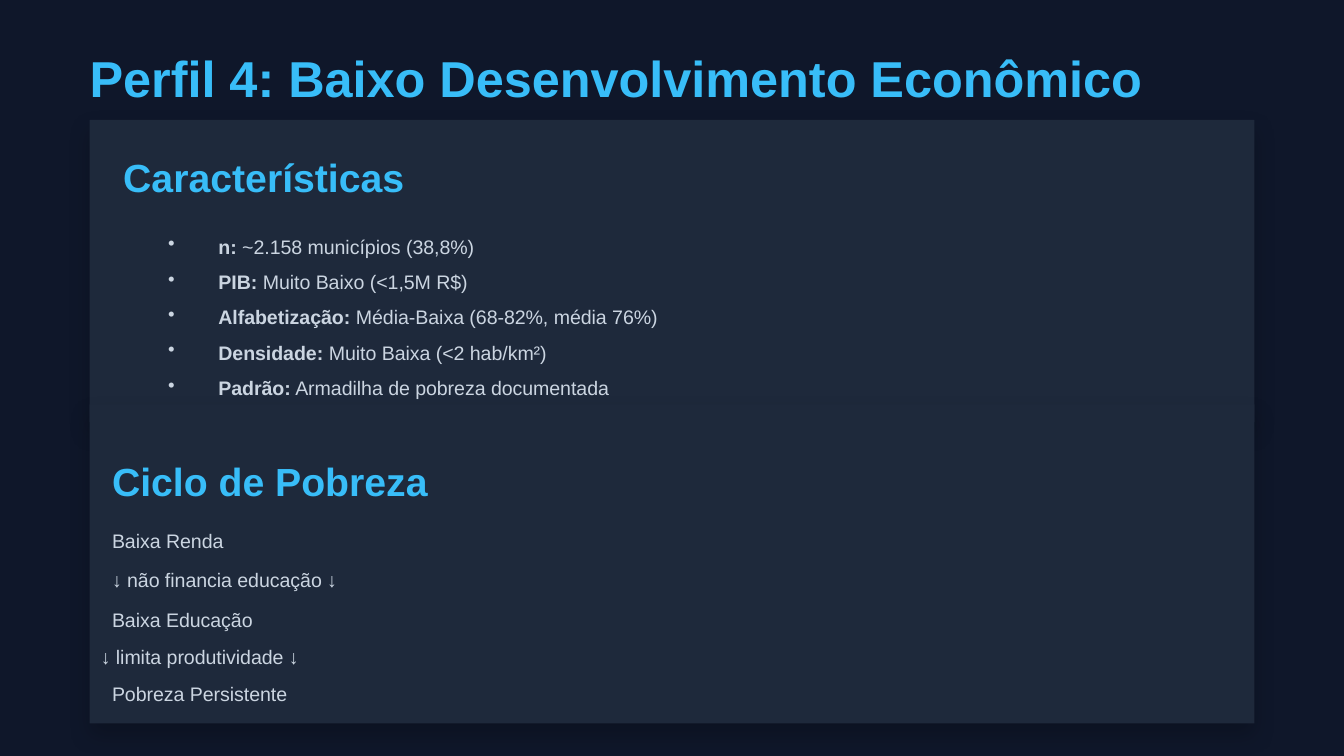
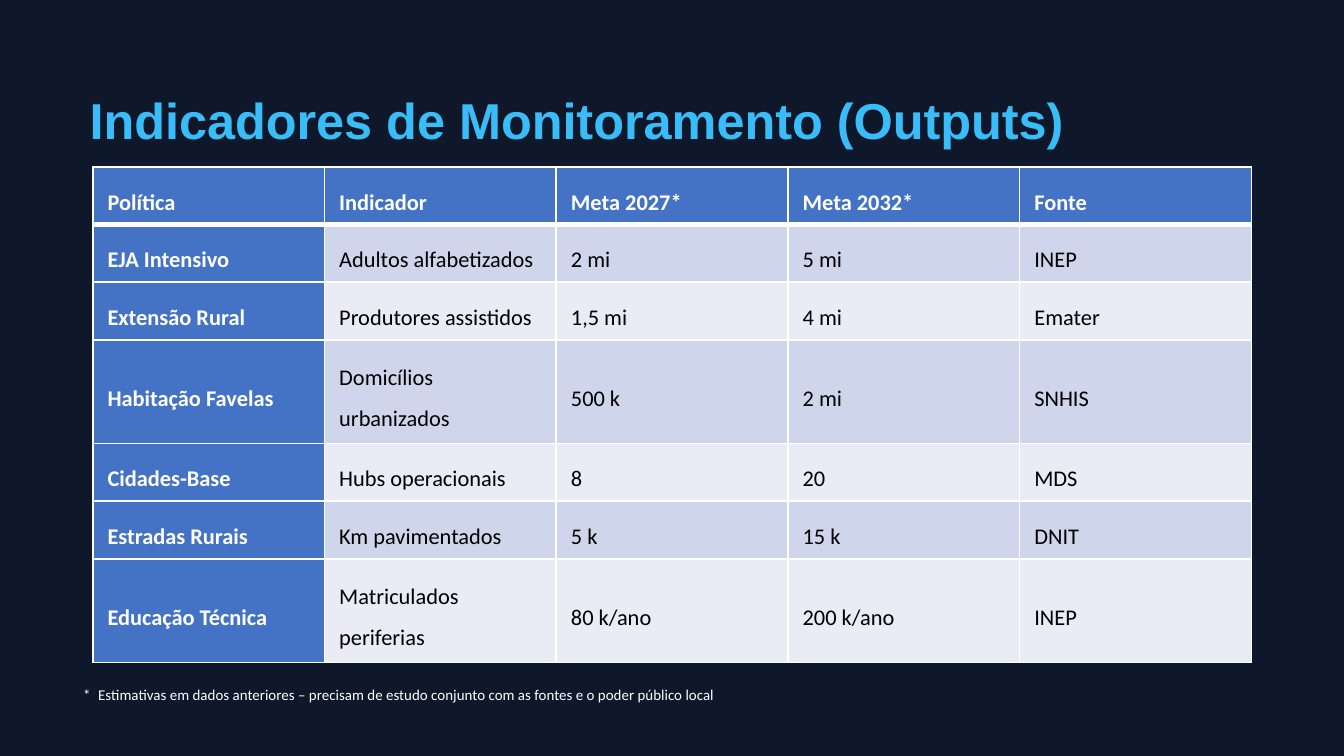
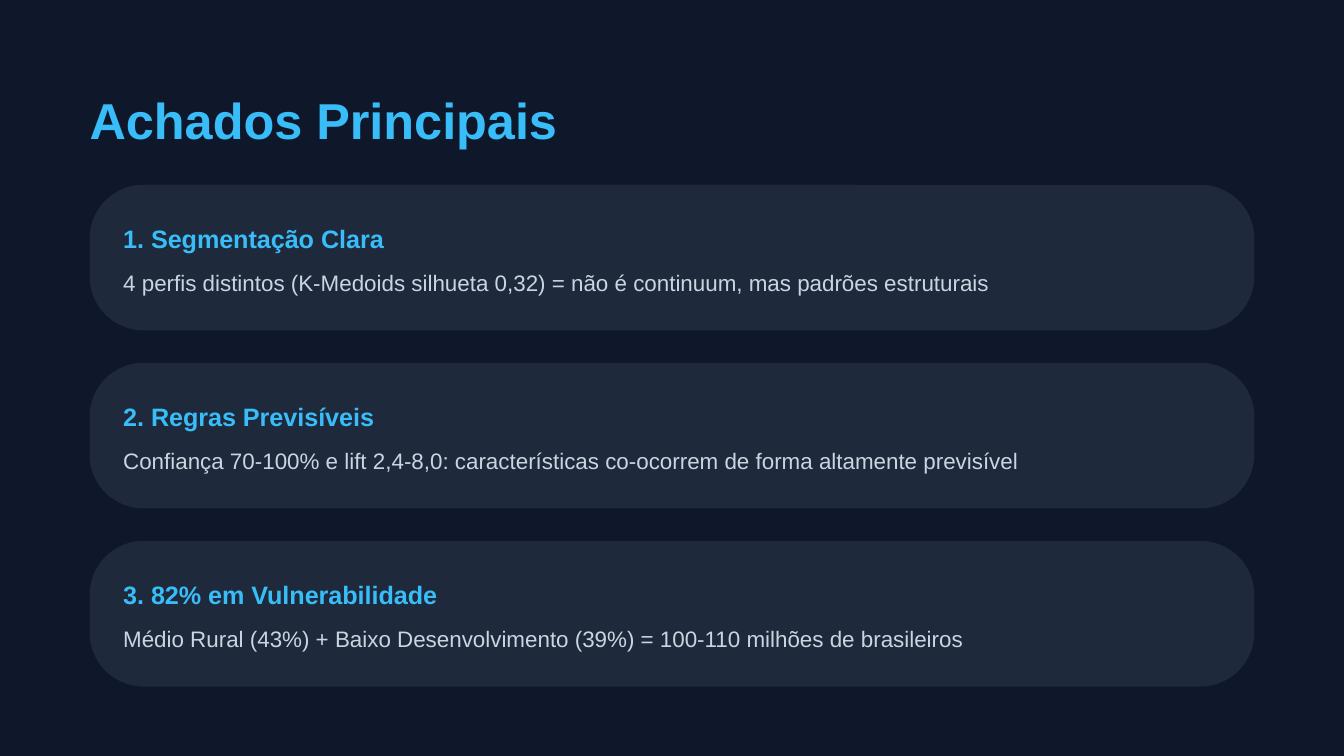
import dataclasses
import typing

import pptx
import pptx.dml.color
import pptx.enum.shapes
import pptx.enum.text
import pptx.oxml
import pptx.oxml.ns
import pptx.util

RGBColor = pptx.dml.color.RGBColor
PP_ALIGN = pptx.enum.text.PP_ALIGN
MSO_ANCHOR = pptx.enum.text.MSO_ANCHOR
MSO_SHAPE = pptx.enum.shapes.MSO_SHAPE

# Slide grid: 120 columns by 135 rows
SLIDE_WIDTH = pptx.util.Inches(10)
SLIDE_HEIGHT = pptx.util.Inches(5.625)
COLUMN = SLIDE_WIDTH / 120
ROW = SLIDE_HEIGHT / 135
MARGIN = 8
CONTENT_WIDTH = 104

# Colours and fonts
NAVY = RGBColor(0x0F, 0x17, 0x2A)
PANEL = RGBColor(0x1E, 0x29, 0x3B)
SKY = RGBColor(0x38, 0xBD, 0xF8)
SILVER = RGBColor(0xCB, 0xD5, 0xE1)
WHITE = RGBColor(0xFF, 0xFF, 0xFF)
BLACK = RGBColor(0x00, 0x00, 0x00)
TABLE_BLUE = RGBColor(0x44, 0x72, 0xC4)
BAND_DARK = RGBColor(0xCF, 0xD5, 0xEA)
BAND_LIGHT = RGBColor(0xE9, 0xEB, 0xF5)
HEADING_FONT = "Arial"
TABLE_FONT = "Calibri"


@dataclasses.dataclass(frozen=True)
class Box:
    """Position and size in grid columns and rows."""

    left: float
    top: float
    width: float
    height: float

    def lengths(self) -> tuple[int, int, int, int]:
        return (round(self.left * COLUMN), round(self.top * ROW),
                round(self.width * COLUMN), round(self.height * ROW))


class Run(typing.NamedTuple):
    text: str
    bold: bool = False
    size: float | None = None


class Finding(typing.NamedTuple):
    heading: str
    detail: str


class CycleStep(typing.NamedTuple):
    text: str
    top: float
    left: float = 10


# Slide content
CHARACTERISTICS = [
    ("n:", " ~2.158 municípios (38,8%)"),
    ("PIB:", " Muito Baixo (<1,5M R$)"),
    ("Alfabetização:", " Média-Baixa (68-82%, média 76%)"),
    ("Densidade:", " Muito Baixa (<2 hab/km²)"),
    ("Padrão:", " Armadilha de pobreza documentada"),
]
POVERTY_CYCLE = [
    CycleStep("Baixa Renda", 93.8),
    CycleStep("↓ não financia educação ↓", 100.8),
    CycleStep("Baixa Educação", 107.8),
    CycleStep("↓ limita produtividade ↓", 114.5, left=9),
    CycleStep("Pobreza Persistente", 121),
]
INDICATORS = [
    ("Política", "Indicador", "Meta 2027*", "Meta 2032*", "Fonte"),
    ("EJA Intensivo", "Adultos alfabetizados", "2 mi", "5 mi", "INEP"),
    ("Extensão Rural", "Produtores assistidos", "1,5 mi", "4 mi", "Emater"),
    ("Habitação Favelas", "Domicílios urbanizados", "500 k", "2 mi", "SNHIS"),
    ("Cidades-Base", "Hubs operacionais", "8", "20", "MDS"),
    ("Estradas Rurais", "Km pavimentados", "5 k", "15 k", "DNIT"),
    ("Educação Técnica", "Matriculados periferias", "80 k/ano", "200 k/ano", "INEP"),
]
TALL_ROWS = (3, 6)
FINDINGS = [
    Finding("1. Segmentação Clara",
            "4 perfis distintos (K-Medoids silhueta 0,32) = não é continuum, "
            "mas padrões estruturais"),
    Finding("2. Regras Previsíveis",
            "Confiança 70-100% e lift 2,4-8,0: características co-ocorrem de forma "
            "altamente previsível"),
    Finding("3. 82% em Vulnerabilidade",
            "Médio Rural (43%) + Baixo Desenvolvimento (39%) = 100-110 milhões "
            "de brasileiros"),
]


# Text
def add_bullet(paragraph, indent: int) -> None:
    properties = paragraph._p.get_or_add_pPr()
    properties.set("marL", str(indent))
    properties.set("indent", str(-indent))
    bullet = pptx.oxml.parse_xml(
        f'<a:buChar {pptx.oxml.ns.nsdecls("a")} char="•"/>')
    properties.append(bullet)


def write_text(frame, paragraphs: list[list[Run]], *, size: float, color: RGBColor,
               font: str = HEADING_FONT, leading: float | None = None,
               spacing: float | None = None, after: float | None = None,
               align: PP_ALIGN | None = None, bullet: bool = False) -> None:
    """Leading is a multiple of the size, set exactly; spacing is proportional."""
    for index, runs in enumerate(paragraphs):
        paragraph = frame.paragraphs[0] if index == 0 else frame.add_paragraph()
        if leading:
            paragraph.line_spacing = pptx.util.Pt(size * leading)
        if spacing:
            paragraph.line_spacing = spacing
        if after:
            paragraph.space_after = pptx.util.Pt(after)
        if align:
            paragraph.alignment = align
        if bullet:
            add_bullet(paragraph, round(4.5 * COLUMN))
        for item in runs:
            run = paragraph.add_run()
            run.text = item.text
            run.font.name = font
            run.font.size = pptx.util.Pt(item.size or size)
            run.font.bold = item.bold
            run.font.color.rgb = color


def add_text(slide, box: Box, paragraphs: list[list[Run]], *, inset: bool = False,
             **text_format) -> None:
    frame = slide.shapes.add_textbox(*box.lengths()).text_frame
    frame.word_wrap = True
    if not inset:
        frame.margin_left = frame.margin_right = 0
        frame.margin_top = frame.margin_bottom = 0
    write_text(frame, paragraphs, **text_format)


def add_heading(slide, text: str, box: Box, *, size: float, leading: float) -> None:
    add_text(slide, box, [[Run(text, bold=True)]],
             size=size, color=SKY, leading=leading)


def add_title(slide, text: str, top: float = 16) -> None:
    add_heading(slide, text, Box(MARGIN, top, 106, 10.8), size=27, leading=1.2)


# Panels
def add_shadow(shape) -> None:
    effects = pptx.oxml.parse_xml(
        f'<a:effectLst {pptx.oxml.ns.nsdecls("a")}>'
        f'<a:outerShdw blurRad="{pptx.util.Pt(12)}" dist="{pptx.util.Pt(6)}" '
        'dir="5400000" algn="ctr" rotWithShape="0">'
        '<a:srgbClr val="000000"><a:alpha val="20000"/></a:srgbClr>'
        '</a:outerShdw></a:effectLst>')
    properties = shape._element.spPr
    properties.replace(properties.find(pptx.oxml.ns.qn("a:effectLst")), effects)


def add_panel(slide, box: Box, *, rounding: float | None = None,
              shadow: bool = False) -> None:
    kind = MSO_SHAPE.ROUNDED_RECTANGLE if rounding else MSO_SHAPE.RECTANGLE
    shape = slide.shapes.add_shape(kind, *box.lengths())
    if rounding:
        shape.adjustments[0] = rounding
    shape.fill.solid()
    shape.fill.fore_color.rgb = PANEL
    shape.line.fill.background()
    shape.shadow.inherit = False
    if shadow:
        add_shadow(shape)


# Table
def set_borders(cell, *, top: float = 1, bottom: float = 1) -> None:
    properties = cell._tc.get_or_add_tcPr()
    widths = {"lnL": 1, "lnR": 1, "lnT": top, "lnB": bottom}
    for position, (side, width) in enumerate(widths.items()):
        line = pptx.oxml.parse_xml(
            f'<a:{side} {pptx.oxml.ns.nsdecls("a")} w="{pptx.util.Pt(width)}">'
            f'<a:solidFill><a:srgbClr val="{WHITE}"/></a:solidFill></a:{side}>')
        properties.insert(position, line)


def format_cell(cell, text: str, row: int, column: int) -> None:
    is_label = row == 0 or column == 0
    band = BAND_DARK if row % 2 else BAND_LIGHT
    cell.fill.solid()
    cell.fill.fore_color.rgb = TABLE_BLUE if is_label else band
    cell.vertical_anchor = MSO_ANCHOR.MIDDLE
    cell.margin_left = cell.margin_right = pptx.util.Inches(0.11)
    cell.margin_top = cell.margin_bottom = pptx.util.Inches(0.06)
    write_text(cell.text_frame, [[Run(text, bold=is_label)]], size=12,
               color=WHITE if is_label else BLACK, font=TABLE_FONT,
               spacing=1.5, after=6, align=PP_ALIGN.JUSTIFY)
    set_borders(cell, top=3 if row == 1 else 1, bottom=3 if row == 0 else 1)


def add_indicator_table(slide) -> None:
    box = Box(8.28, 29.8, 103.45, 88.3)
    table = slide.shapes.add_table(
        len(INDICATORS), len(INDICATORS[0]), *box.lengths()).table
    for row, values in enumerate(INDICATORS):
        table.rows[row].height = round((18.5 if row in TALL_ROWS else 10.3) * ROW)
        for column, text in enumerate(values):
            format_cell(table.cell(row, column), text, row, column)


# Slides
def add_slide(presentation):
    slide = presentation.slides.add_slide(presentation.slide_layouts[6])
    slide.background.fill.solid()
    slide.background.fill.fore_color.rgb = NAVY
    return slide


def build_profile_slide(presentation) -> None:
    slide = add_slide(presentation)
    add_panel(slide, Box(MARGIN, 21.4, CONTENT_WIDTH, 54), shadow=True)
    add_panel(slide, Box(MARGIN, 72.2, CONTENT_WIDTH, 57), shadow=True)
    add_title(slide, "Perfil 4: Baixo Desenvolvimento Econômico", top=8.4)
    add_heading(slide, "Características", Box(11, 27.4, 100, 8.4),
                size=21, leading=1.2)
    add_text(slide, Box(15, 39.8, 94, 43.4),
             [[Run(label, bold=True), Run(value)] for label, value in CHARACTERISTICS],
             size=10.5, color=SILVER, leading=1.8, bullet=True)
    add_heading(slide, "Ciclo de Pobreza", Box(10, 81.6, 100, 8.4),
                size=21, leading=1.2)
    for step in POVERTY_CYCLE:
        add_text(slide, Box(step.left, step.top, 100, 4.8), [[Run(step.text)]],
                 size=10.5, color=SILVER, leading=1.4)


def build_indicator_slide(presentation) -> None:
    slide = add_slide(presentation)
    add_title(slide, "Indicadores de Monitoramento (Outputs)")
    add_indicator_table(slide)
    footnote = [
        Run("*"), Run(" ", size=18),
        Run("Estimativas em dados anteriores – precisam de estudo conjunto "
            "com as fontes e o poder público local"),
    ]
    add_text(slide, Box(6.24, 118, 102.1, 9.6), [footnote], inset=True,
             size=8, color=WHITE, font=TABLE_FONT)


def build_findings_slide(presentation) -> None:
    slide = add_slide(presentation)
    tops = [33 + 31.8 * index for index in range(len(FINDINGS))]
    for top in tops:
        add_panel(slide, Box(MARGIN, top, CONTENT_WIDTH, 26), rounding=0.371)
    add_title(slide, "Achados Principais")
    for top, finding in zip(tops, FINDINGS):
        add_heading(slide, finding.heading, Box(11, top + 6, 100, 6.3),
                    size=13.5, leading=1.4)
        add_text(slide, Box(11, top + 14.2, 100, 5.6), [[Run(finding.detail)]],
                 size=12, color=SILVER, leading=1.4)


def main() -> None:
    presentation = pptx.Presentation()
    presentation.slide_width = SLIDE_WIDTH
    presentation.slide_height = SLIDE_HEIGHT
    build_profile_slide(presentation)
    build_indicator_slide(presentation)
    build_findings_slide(presentation)
    presentation.save("out.pptx")


if __name__ == "__main__":
    main()
